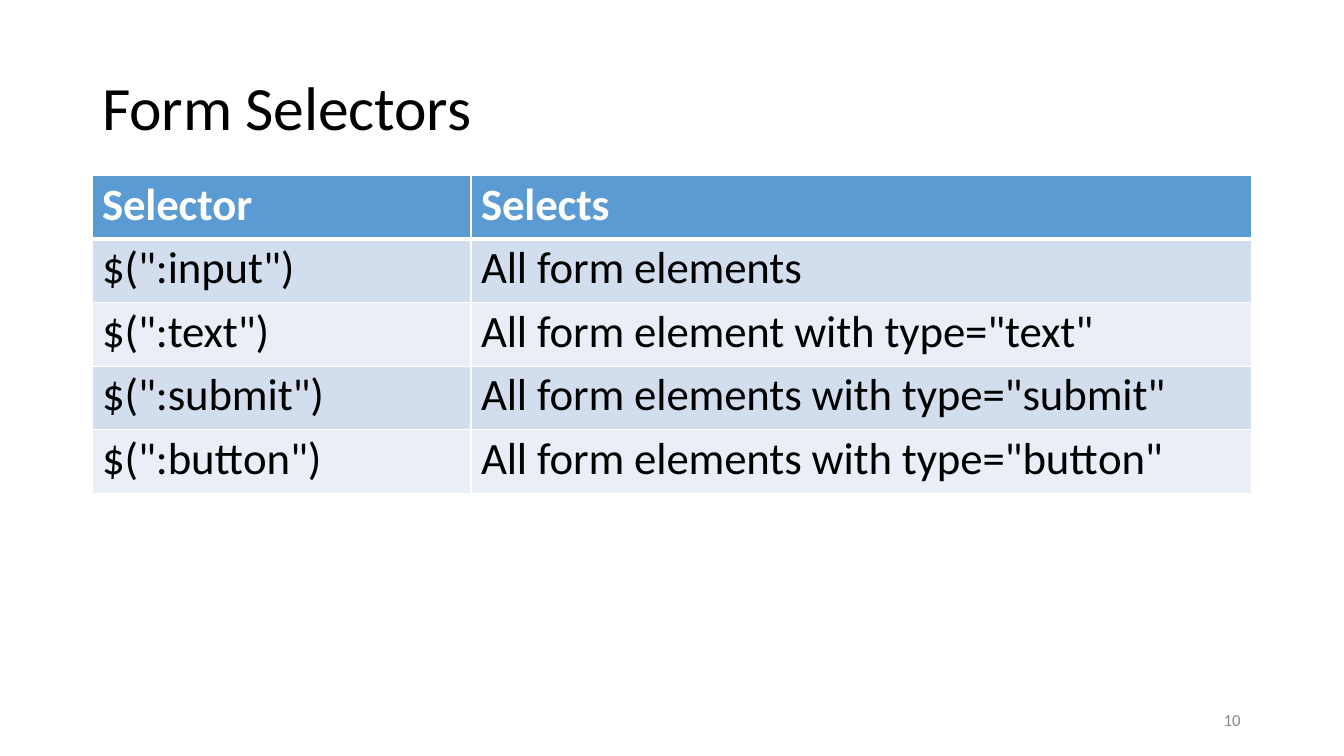
from lxml.etree import SubElement
from pptx import Presentation
from pptx.dml.color import RGBColor
from pptx.oxml.ns import qn
from pptx.util import Pt

TITLE = "Form Selectors"
PAGE = "10"
ROWS = [
    ("Selector", "Selects"),
    ('$(":input")', "All form elements"),
    ('$(":text")', 'All form element with type="text"'),
    ('$(":submit")', 'All form elements with type="submit"'),
    ('$(":button")', 'All form elements with type="button"'),
]

FONT = "Calibri"
BLACK = RGBColor(0x00, 0x00, 0x00)
WHITE = RGBColor(0xFF, 0xFF, 0xFF)
GREY = RGBColor(0x88, 0x88, 0x88)
BLUE = RGBColor(0x5B, 0x9B, 0xD4)
BANDS = RGBColor(0xEA, 0xEE, 0xF7), RGBColor(0xD2, 0xDE, 0xEE)

LEFT, TOP = 65.7, 125.5
COLS = 270.7, 557.3
ROW = 45.4


def write(frame, text, size, color, bold=False, track=-10):
    """Fill a text frame with one line; track is in hundredths of a point."""
    frame.text = text
    line = frame.paragraphs[0]
    for run in line.runs:
        font = run.font
        font.name, font.size, font.bold = FONT, Pt(size), bold
        font.color.rgb = color
        run._r.get_or_add_rPr().set("spc", str(track))
    return line


def add_label(slide, box, text, size, color, inset=(0, 0), track=0):
    frame = slide.shapes.add_textbox(*map(Pt, box)).text_frame
    frame.word_wrap = True
    frame.margin_left, frame.margin_top = map(Pt, inset)
    frame.margin_right = frame.margin_bottom = 0
    return write(frame, text, size, color, track=track)


def add_edge(cell, side, width):
    edge = SubElement(cell._tc.get_or_add_tcPr(), qn("a:ln" + side), w=str(Pt(width)))
    fill = SubElement(edge, qn("a:solidFill"))
    SubElement(fill, qn("a:srgbClr"), val=str(WHITE))


def add_grid(slide):
    table = slide.shapes.add_table(
        len(ROWS), len(COLS), Pt(LEFT), Pt(TOP), Pt(sum(COLS)), Pt(ROW * len(ROWS))
    ).table
    for col, width in zip(table.columns, COLS):
        col.width = Pt(width)
    for r, texts in enumerate(ROWS):
        table.rows[r].height = Pt(ROW)
        head = r == 0
        for c, text in enumerate(texts):
            cell = table.cell(r, c)
            cell.margin_left, cell.margin_top = Pt(7.2), Pt(1.4)
            cell.margin_right = cell.margin_bottom = 0
            line = write(cell.text_frame, text, 32, WHITE if head else BLACK, head)
            line.space_before = Pt(1.6)
            for side in "LRTB":
                thick = (r, side) in ((0, "B"), (1, "T"))
                add_edge(cell, side, 3 if thick else 1)
            cell.fill.solid()
            cell.fill.fore_color.rgb = BLUE if head else BANDS[r % 2]


def main():
    deck = Presentation()
    deck.slide_width, deck.slide_height = Pt(960), Pt(540)
    slide = deck.slides.add_slide(deck.slide_layouts[6])
    number = add_label(slide, (871.2, 509, 18, 13.7), PAGE, 12, GREY, (2.9, 0))
    number.line_spacing = Pt(12.4)
    title = add_label(slide, (72, 48.2, 280, 54.7), TITLE, 44, BLACK, (1, 1), -15)
    title.space_before = Pt(1.1)
    add_grid(slide)
    deck.save("out.pptx")


if __name__ == "__main__":
    main()
